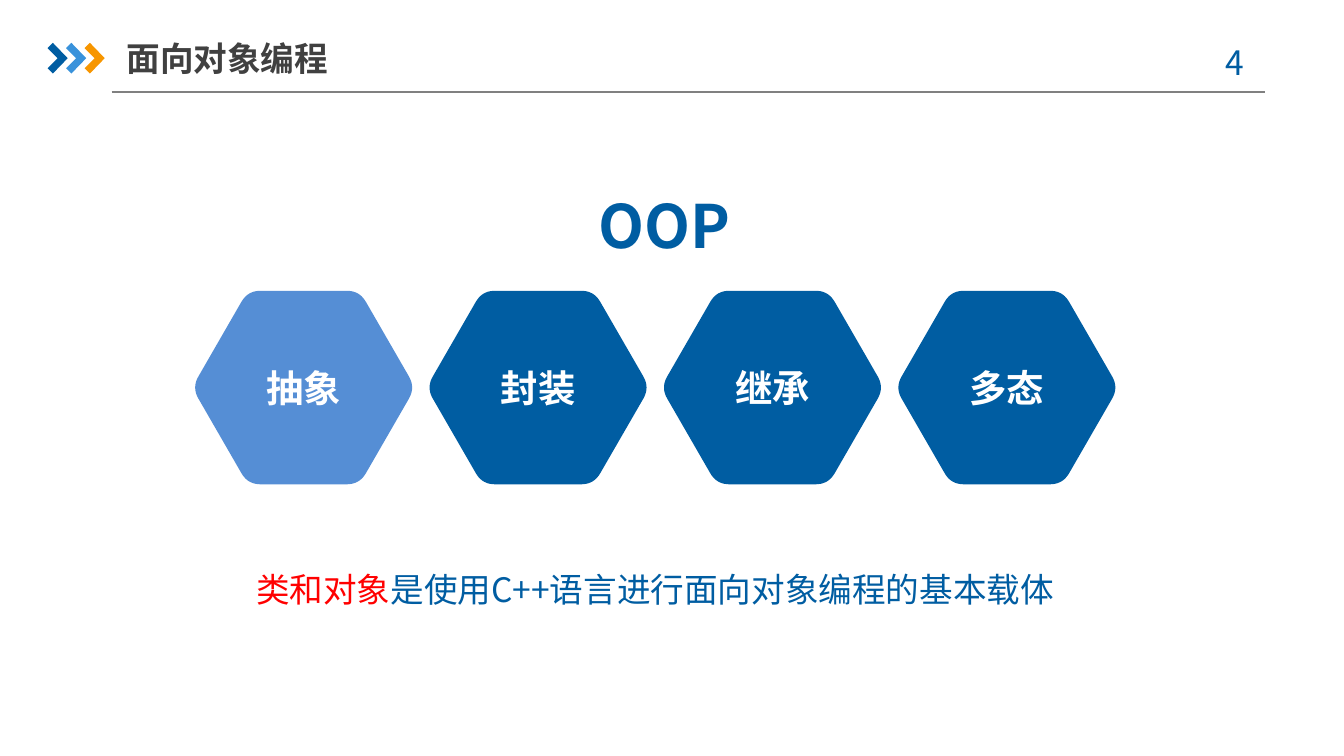
"""Build the slide that introduces the four ideas of object-oriented programming."""
import math

import pptx
import pptx.dml.color
import pptx.enum.shapes
import pptx.enum.text
import pptx.oxml
import pptx.oxml.ns
import pptx.util
from pptx.util import Cm

RGBColor = pptx.dml.color.RGBColor
ALIGN = pptx.enum.text.PP_ALIGN
ANCHOR = pptx.enum.text.MSO_ANCHOR

BLUE = RGBColor(0x00, 0x5D, 0xA2)
SKY = RGBColor(0x39, 0x92, 0xDB)
SOFT_BLUE = RGBColor(0x55, 0x8E, 0xD5)
ORANGE = RGBColor(0xF7, 0x96, 0x00)
RED = RGBColor(0xFF, 0x00, 0x00)
DARK = RGBColor(0x40, 0x40, 0x40)
GREY = RGBColor(0x80, 0x80, 0x80)
WHITE = RGBColor(0xFF, 0xFF, 0xFF)
FONT = "Noto Sans CJK SC"


def set_attrs(obj, values):
    """Set every attribute named in a dict."""
    for name, value in values.items():
        setattr(obj, name, value)


def fill_text(tf, runs, size, bold=False, align=ALIGN.CENTER, spacing=1.0, **frame):
    """Write one paragraph of (text, colour) runs into a text frame."""
    set_attrs(tf, {"word_wrap": True, **frame})
    p = tf.paragraphs[0]
    set_attrs(p, {"alignment": align, "line_spacing": spacing})
    for text, colour in runs:
        r = p.add_run()
        r.text = text
        set_attrs(r.font, {"name": FONT, "size": pptx.util.Pt(size), "bold": bold})
        r.font.color.rgb = colour
        ea = pptx.oxml.parse_xml(
            f'<a:ea {pptx.oxml.ns.nsdecls("a")} typeface="{FONT}"/>')
        r.font._element.append(ea)


def add_title(s, text):
    """Place and format the title placeholder."""
    sp = s.shapes.title
    set_attrs(sp, {"left": Cm(2.39), "top": Cm(0.56), "width": Cm(5.92), "height": Cm(1.07)})
    fill_text(sp.text_frame, [(text, DARK)], 18, bold=True, align=ALIGN.LEFT,
              vertical_anchor=ANCHOR.MIDDLE, margin_left=0, margin_right=0,
              auto_size=pptx.enum.text.MSO_AUTO_SIZE.NONE)


def add_text(s, box, runs, size, **style):
    """Add a text box at (left, top, width, height) in centimetres."""
    sp = s.shapes.add_textbox(*map(Cm, box))
    fill_text(sp.text_frame, runs, size, **style)


def add_rule(s, left, right, y):
    """Add the thin line under the title."""
    line = s.shapes.add_connector(
        pptx.enum.shapes.MSO_CONNECTOR.STRAIGHT, Cm(left), Cm(y), Cm(right), Cm(y))
    line.line.color.rgb = GREY
    line.line.width = pptx.util.Pt(0.75)
    line._element.spPr.append(
        pptx.oxml.parse_xml(f'<a:effectLst {pptx.oxml.ns.nsdecls("a")}/>'))


def add_polygon(s, points, colour):
    """Add a closed filled outline through points in centimetres."""
    start, *rest = [(Cm(x), Cm(y)) for x, y in points]
    builder = s.shapes.build_freeform(*start)
    builder.add_line_segments(rest, close=True)
    sp = builder.convert_to_shape()
    sp.shadow.inherit = False
    sp.fill.solid()
    sp.fill.fore_color.rgb = colour
    sp.line.fill.background()
    return sp


def add_chevron(s, left, colour):
    """Add one arrow tip of the title mark."""
    outline = [(0, 0.1), (0.1, 0), (0.38, 0.29), (0.1, 0.58), (0, 0.48), (0.19, 0.29)]
    add_polygon(s, [(left + x, 0.81 + y) for x, y in outline], colour)


def rounded_hexagon(cx, cy, radius, trim, steps=10):
    """Return the points of a regular hexagon with curved corners."""
    corners = [(cx + radius * math.cos(math.radians(a)),
                cy + radius * math.sin(math.radians(a))) for a in range(0, 360, 60)]
    points = []
    for i, corner in enumerate(corners):
        before, after = corners[i - 1], corners[(i + 1) % 6]
        start, end = [[c + (n - c) * trim / radius for c, n in zip(corner, near)]
                      for near in (before, after)]
        for t in (k / steps for k in range(steps + 1)):
            points.append([(1 - t) ** 2 * a + 2 * t * (1 - t) * c + t ** 2 * b
                           for a, c, b in zip(start, corner, end)])
    return points


def add_hexagon(s, cx, text, colour):
    """Add a labelled hexagon centred at cx."""
    sp = add_polygon(s, rounded_hexagon(cx, 7.32, 2.11, 0.24), colour)
    fill_text(sp.text_frame, [(text, WHITE)], 20, bold=True,
              vertical_anchor=ANCHOR.MIDDLE)


def main():
    """Build and save the slide."""
    prs = pptx.Presentation()
    set_attrs(prs, {"slide_width": Cm(25.4), "slide_height": Cm(14.28)})
    s = prs.slides.add_slide(prs.slide_layouts[5])
    add_rule(s, 2.11, 23.9, 1.74)
    for i, colour in enumerate((BLUE, SKY, ORANGE)):
        add_chevron(s, 0.9 + 0.35 * i, colour)
    add_title(s, "面向对象编程")
    add_text(s, (22.42, 0.66, 1.85, 1.02), [("4", BLUE)], 18)
    add_text(s, (10.64, 2.77, 3.84, 2.06), [("OOP", BLUE)], 32, bold=True, spacing=1.5)
    for i, text in enumerate(("抽象", "封装", "继承", "多态")):
        add_hexagon(s, 5.74 + 4.43 * i, text, BLUE if i else SOFT_BLUE)
    add_text(s, (4.29, 10.24, 16.18, 1.27),
             [("类和对象", RED), ("是使用C++语言进行面向对象编程的基本载体", BLUE)],
             18, spacing=1.5)
    prs.save("out.pptx")


if __name__ == "__main__":
    main()
